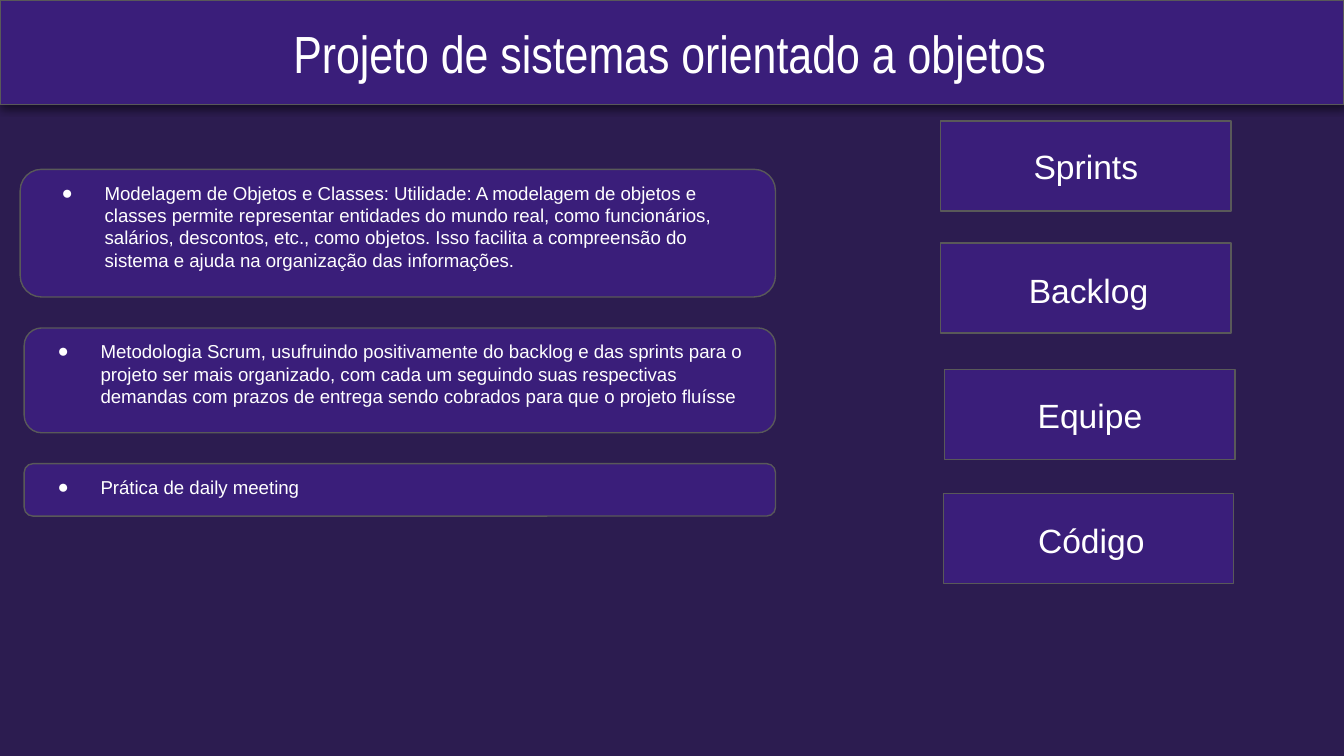
from lxml import etree
from pptx import Presentation
from pptx import util as u
from pptx.dml.color import RGBColor
from pptx.enum import shapes, text
from pptx.oxml import parse_xml
from pptx.oxml.ns import nsdecls, qn

BACKGROUND, PANEL, BORDER, WHITE = "2C1C50", "3A1E7A", "595959", "FFFFFF"
TITLE = "Projeto de sistemas orientado a objetos"
PRACTICES = [
    ("Modelagem de Objetos e Classes: Utilidade: A modelagem de objetos e classes "
     "permite representar entidades do mundo real, como funcionários, salários, "
     "descontos, etc., como objetos. Isso facilita a compreensão do sistema e ajuda "
     "na organização das informações.", (0.15, 1.26, 5.62, 0.95), (0.18, 1.25, 5.51, 0.91)),
    ("Metodologia Scrum, usufruindo positivamente do backlog e das sprints para o "
     "projeto ser mais organizado, com cada um seguindo suas respectivas demandas com "
     "prazos de entrega sendo cobrados para que o projeto fluísse",
     (0.18, 2.44, 5.59, 0.78), (0.15, 2.43, 5.53, 0.78)),
    ("Prática de daily meeting", (0.18, 3.45, 5.59, 0.39), (0.15, 3.46, 5.53, 0.25)),
]
TOPICS = [("Sprints", 7, 0.9, 0), ("Backlog", 7, 1.81, 0.02),
          ("Equipe", 7.03, 2.75, 0), ("Código", 7.02, 3.67, 0.02)]


def color(code):
    """Turn a hex string into a colour."""
    return RGBColor.from_string(code)


def add_panel(parent, kind, box):
    """Draw a bordered purple panel in the box."""
    panel = parent.add_shape(kind, *map(u.Inches, box))
    panel.shadow.inherit = False
    panel.fill.solid()
    panel.fill.fore_color.rgb = color(PANEL)
    panel.line.color.rgb = color(BORDER)
    panel.line.width = u.Pt(0.75)
    return panel


def add_label(parent, wording, box, size, font="Arial", centred=True):
    """Write white text in the box and return its paragraph."""
    frame = parent.add_textbox(*map(u.Inches, box)).text_frame
    frame.word_wrap = True
    frame.margin_left = frame.margin_right = u.Inches(0.1)
    frame.margin_top = frame.margin_bottom = u.Inches(0.1)
    frame.vertical_anchor = text.MSO_ANCHOR.MIDDLE if centred else text.MSO_ANCHOR.TOP
    paragraph = frame.paragraphs[0]
    paragraph.text = wording
    paragraph.alignment = text.PP_ALIGN.CENTER if centred else text.PP_ALIGN.LEFT
    paragraph.font.name = font
    paragraph.font.size = u.Pt(size)
    paragraph.font.color.rgb = color(WHITE)
    return paragraph


def add_bullet(paragraph):
    """Give the paragraph a white round bullet and a hanging indent."""
    properties = paragraph._p.get_or_add_pPr()
    properties.set("marL", str(u.Inches(0.5)))
    properties.set("indent", str(u.Inches(-0.32)))
    bullet_color = etree.SubElement(properties, qn("a:buClr"))
    etree.SubElement(bullet_color, qn("a:srgbClr")).set("val", WHITE)
    etree.SubElement(properties, qn("a:buFont")).set("typeface", "Arial")
    etree.SubElement(properties, qn("a:buChar")).set("char", "●")


def add_shadow(panel):
    """Cast a soft black shadow below the panel."""
    properties = panel._element.spPr
    properties.remove(properties.find(qn("a:effectLst")))
    properties.append(parse_xml(
        f'<a:effectLst {nsdecls("a")}><a:outerShdw blurRad="{u.Pt(4.5)}" '
        f'dist="{u.Pt(1.5)}" dir="5400000" algn="bl" rotWithShape="0">'
        '<a:srgbClr val="000000"><a:alpha val="50000"/></a:srgbClr>'
        '</a:outerShdw></a:effectLst>'))


def add_header(slide, box):
    """Draw the title band."""
    left, top, width, height = box
    add_shadow(add_panel(slide.shapes, shapes.MSO_SHAPE.RECTANGLE, box))
    add_label(slide.shapes, TITLE, (left, top, width - 0.04, height), 28, "Arial Narrow")


def add_practice(slide, wording, box, wording_box):
    """Group a rounded card with its bulleted text."""
    card = slide.shapes.add_group_shape().shapes
    add_panel(card, shapes.MSO_SHAPE.ROUNDED_RECTANGLE, box)
    add_bullet(add_label(card, wording, wording_box, 10, centred=False))


def add_topic(slide, wording, box, drop):
    """Draw a topic tile with its label lowered by the drop."""
    left, top, width, height = box
    add_panel(slide.shapes, shapes.MSO_SHAPE.RECTANGLE, box)
    add_label(slide.shapes, wording, (left + drop, top + drop, width, height - drop), 18)


def main():
    """Build and save the slide."""
    deck = Presentation()
    deck.slide_width = u.Inches(10)
    deck.slide_height = deck.slide_width * 9 // 16
    slide = deck.slides.add_slide(deck.slide_layouts[6])
    slide.background.fill.solid()
    slide.background.fill.fore_color.rgb = color(BACKGROUND)
    add_header(slide, (0, 0, 10, 0.78))
    for wording, box, wording_box in PRACTICES:
        add_practice(slide, wording, box, wording_box)
    for wording, left, top, drop in TOPICS:
        add_topic(slide, wording, (left, top, 2.16, 0.67), drop)
    deck.save("out.pptx")


if __name__ == "__main__":
    main()
